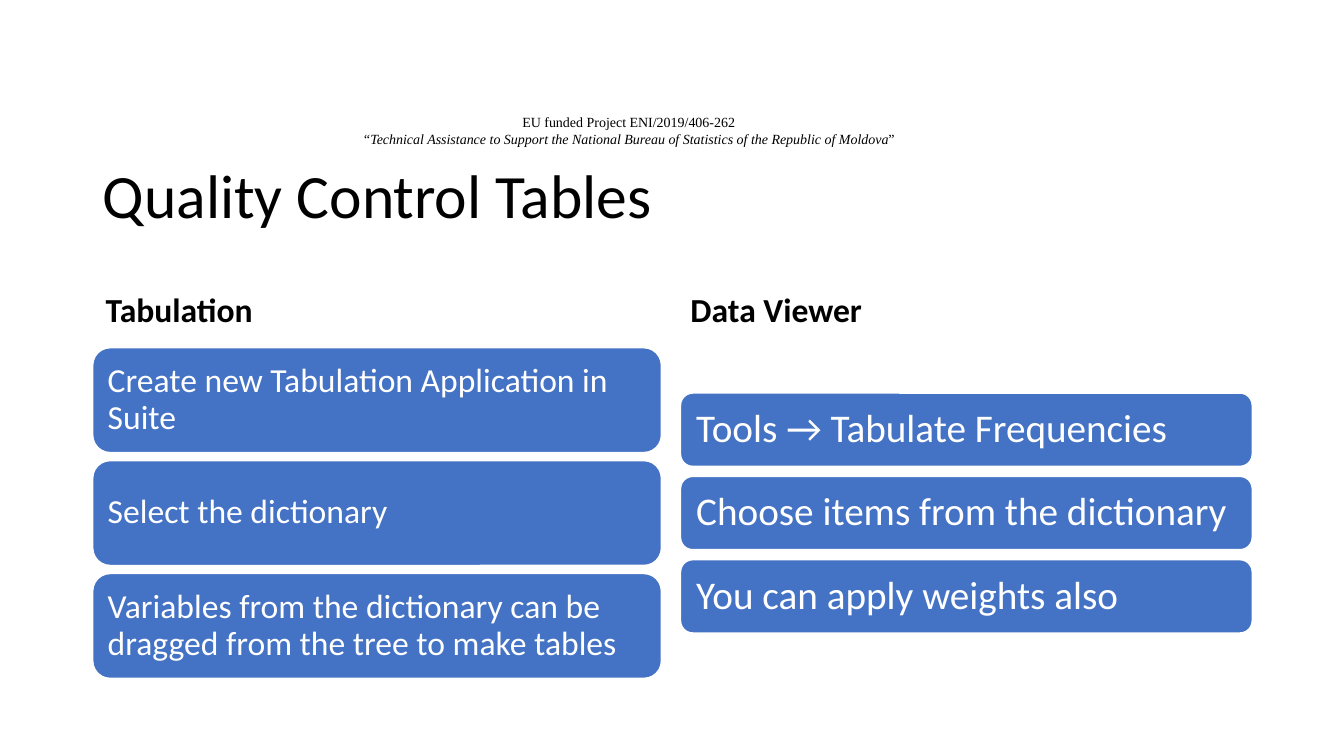
from collections import namedtuple

from pptx import Presentation
from pptx.dml.color import RGBColor
from pptx.enum.shapes import MSO_SHAPE
from pptx.enum.text import MSO_ANCHOR, PP_ALIGN
from pptx.util import Inches, Pt

BLACK = RGBColor(0x00, 0x00, 0x00)
WHITE = RGBColor(0xFF, 0xFF, 0xFF)
BLUE = RGBColor(0x44, 0x72, 0xC4)

Box = namedtuple("Box", "left top width height")


def place(shape, box):
    shape.left, shape.top, shape.width, shape.height = map(Inches, box)


def write(para, text, size=24, font="Calibri", color=BLACK, bold=False,
          italic=False, align=PP_ALIGN.LEFT, line_spacing=0.9):
    para.alignment = align
    para.line_spacing = line_spacing
    span = para.add_run()
    span.text = text
    span.font.size = Pt(size)
    span.font.name = font
    span.font.color.rgb = color
    span.font.bold = bold
    span.font.italic = italic


def add_text_frame(page, box, anchor):
    frame = page.shapes.add_textbox(*map(Inches, box)).text_frame
    frame.word_wrap = True
    frame.vertical_anchor = anchor
    return frame


def add_project_header(page, box):
    frame = add_text_frame(page, box, MSO_ANCHOR.TOP)
    style = dict(size=10, font="Times New Roman", align=PP_ALIGN.CENTER, line_spacing=1.0)
    write(frame.paragraphs[0], "EU funded Project ENI/2019/406-262", **style)
    para = frame.add_paragraph()
    write(para, "“Technical Assistance to Support the National Bureau of Statistics "
          "of the Republic of Moldova", italic=True, **style)
    write(para, "”", **style)


def add_title(page, box):
    title = page.shapes.title
    place(title, box)
    frame = title.text_frame
    frame.word_wrap = True
    frame.vertical_anchor = MSO_ANCHOR.MIDDLE
    write(frame.paragraphs[0], "Quality Control Tables", size=44)


def add_heading(page, box, text):
    frame = add_text_frame(page, box, MSO_ANCHOR.BOTTOM)
    write(frame.paragraphs[0], text, bold=True)


def add_steps(page, box, steps, gap, size, inset):
    height = (box.height - gap * (len(steps) - 1)) / len(steps)
    for index, text in enumerate(steps):
        top = box.top + index * (height + gap)
        card = page.shapes.add_shape(
            MSO_SHAPE.ROUNDED_RECTANGLE,
            *map(Inches, (box.left, top, box.width, height)))
        card.shadow.inherit = False
        card.fill.solid()
        card.fill.fore_color.rgb = BLUE
        card.line.color.rgb = WHITE
        card.line.width = Pt(1)
        frame = card.text_frame
        frame.word_wrap = True
        frame.vertical_anchor = MSO_ANCHOR.MIDDLE
        frame.margin_left = frame.margin_right = Inches(inset)
        frame.margin_top = frame.margin_bottom = Inches(inset)
        write(frame.paragraphs[0], text, size=size, color=WHITE)


def main():
    deck = Presentation()
    deck.slide_width, deck.slide_height = Inches(13.33), Inches(7.5)
    page = deck.slides.add_slide(deck.slide_layouts[5])

    add_project_header(page, Box(2.9, 1.08, 6.67, 0.44))
    add_title(page, Box(0.92, 1.52, 11.5, 0.9))

    add_heading(page, Box(0.95, 2.42, 5.64, 0.9), "Tabulation")
    add_steps(page, Box(0.92, 3.45, 5.64, 3.28), [
        "Create new Tabulation Application in Suite",
        "Select the dictionary",
        "Variables from the dictionary can be dragged from the tree to make tables",
    ], gap=0.08, size=24, inset=0.1)

    add_heading(page, Box(6.75, 2.42, 5.67, 0.9), "Data Viewer")
    add_steps(page, Box(6.75, 3.9, 5.67, 2.38), [
        "Tools → Tabulate Frequencies",
        "Choose items from the dictionary",
        "You can apply weights also",
    ], gap=0.1, size=28, inset=0.12)

    deck.save("out.pptx")


main()
